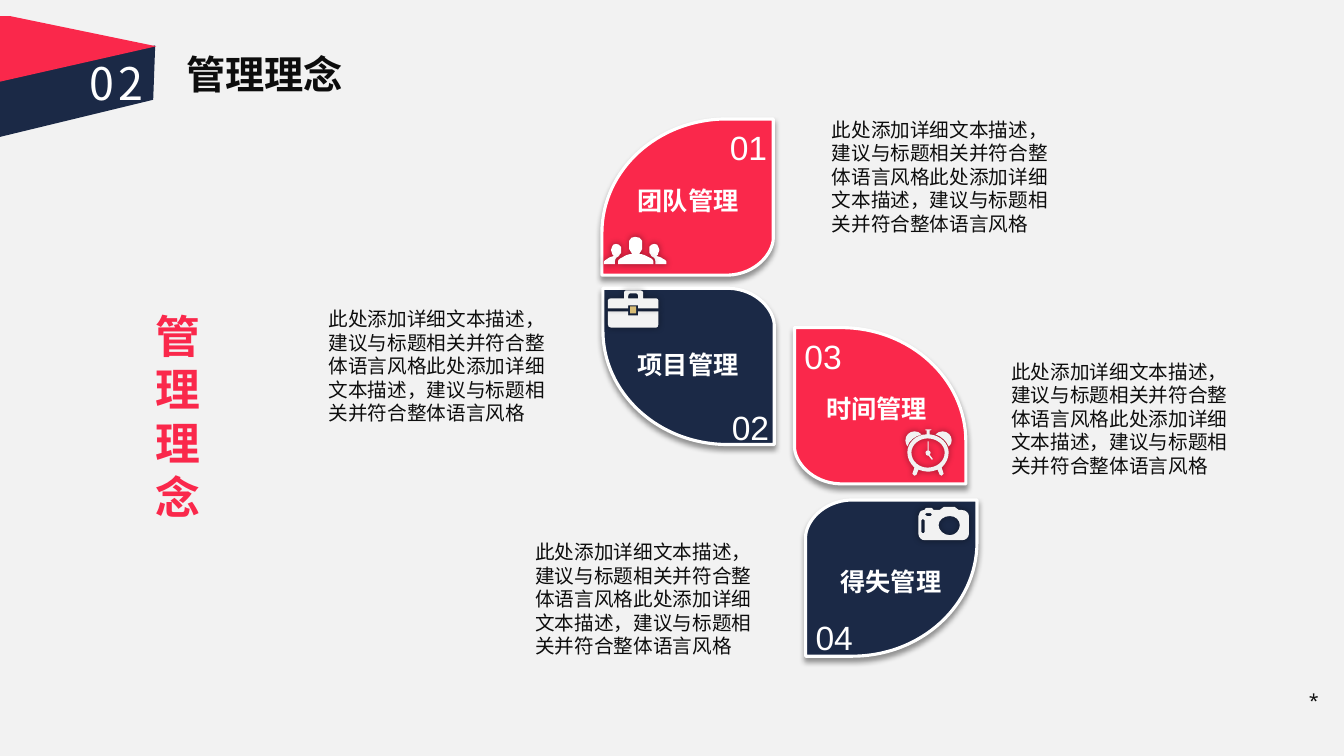
"""Build the management philosophy slide with four petals and their notes."""
from dataclasses import dataclass

from lxml import etree
from pptx import Presentation
from pptx import util as u
from pptx.dml.color import RGBColor
from pptx.enum import shapes, text
from pptx.oxml import ns

RED = RGBColor(0xFA, 0x28, 0x4B)
NAVY = RGBColor(0x1B, 0x29, 0x46)
GOLD = RGBColor(0xD8, 0xBC, 0x75)
WHITE = RGBColor(0xFF, 0xFF, 0xFF)
PALE = RGBColor(0xF2, 0xF2, 0xF2)
INK = RGBColor(0x0D, 0x0D, 0x0D)
CJK, LATIN, MONO = "Noto Sans CJK SC", "Arial", "Noto Sans Mono"
BLURB = "此处添加详细文本描述，建议与标题相关并符合整体语言风格" * 2

PETAL = """M 49 155 C 48 155 46 155 45 155 C 17 154 0 133 0 118 L 0 0 L 46 0
    C 115 0 170 51 170 113 L 170 155 C 170 155 159 155 142 155 C 114 155 72 155 49 155"""
PERSON = """M 17 18 C 17 18 17 16 14 15 C 13 14 11 13 7 12 C 8 12 9 10 9 9 C 10 8 10 7 10 6
    C 10 5 10 4 9 3 C 9 1 7 0 5 0 C 3 0 1 1 0 3 L 0 9 C 1 10 2 11 2 12 C 6 14 6 16 6 17
    L 6 20 L 17 20"""
LEADER = """M 30 20 C 28 19 25 17 21 17 C 22 15 23 14 24 12 C 24 10 24 9 24 8 C 24 7 24 5 24 4
    C 23 1 20 0 17 0 C 14 0 12 1 11 4 C 11 5 11 7 11 8 C 11 9 11 10 11 12 C 12 14 13 15 14 17
    C 10 17 6 19 5 20 C 0 22 0 24 0 24 L 0 27 L 35 27 L 35 24 C 35 24 35 22 30 20"""
CASE_BASE = """M 30 3 L 30 4 L 20 4 L 20 0 L 0 0 L 0 13 C 0 15 1 16 3 16 L 48 16
    C 49 16 50 15 50 13 L 50 0 L 30 0"""
CASE_LID = """M 20 16 L 20 15 L 30 15 L 30 18 L 50 18 L 50 10 C 50 9 49 8 48 8 L 35 8 L 35 2
    C 35 1 33 0 32 0 L 18 0 C 17 0 16 1 16 2 L 16 8 L 3 8 C 1 8 0 9 0 10 L 0 18 L 20 18
    M 20 6 C 20 4 21 3 22 3 L 28 3 C 29 3 30 4 30 6 L 30 8 L 20 8"""
CLOCK = """M 16 5 C 14 3 12 2 9 2 C 4 2 0 6 0 11 C 0 13 1 15 2 17 C 4 11 9 7 16 5
    M 37 2 C 34 2 32 3 30 5 C 36 7 41 12 43 17 C 45 16 46 13 46 11 C 46 6 42 2 37 2
    M 43 23 C 43 14 35 6 24 5 L 24 1 L 25 1 C 25 1 26 1 26 0 L 20 0 L 20 1 L 21 1 L 21 5
    C 11 5 2 13 2 23 C 2 29 5 34 9 38 L 7 44 L 9 46 L 11 45 L 13 40 C 16 41 19 42 22 42
    C 26 42 29 41 32 40 L 34 45 L 36 46 L 38 44 L 36 38 C 40 34 43 29 43 23
    M 22 38 C 14 38 6 32 6 23 C 6 15 14 9 22 9 C 31 9 39 15 39 23 C 39 32 31 38 22 38
    M 24 25 C 25 25 25 24 25 23 C 25 22 24 21 23 21 L 23 12 L 22 12 L 22 21
    C 21 21 20 22 20 23 C 20 25 21 26 22 26 L 23 26 L 26 30 L 27 30 L 27 29"""
CAMERA = """M 43 3 L 40 3 L 36 0 L 25 0 L 21 3 L 15 3 C 14 2 14 1 13 1 L 8 1 C 7 1 6 2 6 3
    C 2 3 0 6 0 9 L 0 27 C 0 30 3 33 6 33 L 43 33 C 47 33 50 30 50 27 L 50 9 C 50 6 47 3 43 3
    M 6 25 C 6 26 5 26 4 26 C 4 26 3 26 3 25 L 3 13 C 3 13 4 12 4 12 C 5 12 6 13 6 13
    M 13 8 C 13 8 13 9 12 9 L 9 9 C 8 9 7 8 7 8 L 7 7 C 7 6 8 6 9 6 L 12 6 C 13 6 13 6 13 7
    M 31 28 C 25 28 20 23 20 18 C 20 13 25 9 31 9 C 37 9 41 13 41 18 C 41 23 37 28 31 28"""
PAGE_TAB = """M 21 0 L 69 0 L 69 44 L 21 44 L 17 43 C 8 41 0 32 0 22
    C 0 11 8 2 17 0"""
RIBBONS = ((NAVY, "M 154 45 L 152 99 L -42 146 L -15 84"),
           (RED, "M 10 16 L 155 46 L -4 82 L -29 16"))


@dataclass
class Part:
    outline: str
    x: float
    y: float
    fill: RGBColor = PALE
    flip_x: bool = False


@dataclass
class Petal:
    number: str
    title: str
    fill: RGBColor
    x: float
    y: float
    flip_x: bool
    flip_y: bool
    number_at: tuple[float, float]
    title_at: tuple[float, float]
    blurb_at: tuple[float, float]
    icon: tuple[Part, ...]


PETALS = (
    Petal("03", "时间管理", RED, 7.88, 3.25, False, False, (7.88, 3.28), (7.85, 3.85),
          (10.03, 3.56), (Part(CLOCK, 8.98, 4.26),)),
    Petal("04", "得失管理", NAVY, 7.99, 4.96, False, True, (7.99, 6.07), (7.99, 5.57),
          (5.31, 5.35), (Part(CAMERA, 9.11, 5.03),)),
    Petal("02", "项目管理", NAVY, 5.98, 2.86, True, True, (7.16, 3.99), (5.98, 3.42),
          (3.26, 3.04), (Part(CASE_BASE, 6.03, 3.09), Part(CASE_LID, 6.03, 2.88))),
    Petal("01", "团队管理", RED, 5.97, 1.18, True, False, (7.14, 1.21), (5.98, 1.79),
          (8.25, 1.16), (Part(PERSON, 6.44, 2.42, WHITE),
                         Part(PERSON, 5.99, 2.42, WHITE, flip_x=True),
                         Part(LEADER, 6.13, 2.35, WHITE))),
)


def style(sp, fill: RGBColor, border: float = 0, blur: float = 0, drop: float = 0,
          alpha: int = 100) -> None:
    """Set a solid fill, a white border in points and a soft shadow."""
    sp.fill.solid()
    sp.fill.fore_color.rgb = fill
    if alpha < 100:
        color = sp._element.spPr.find(ns.qn("a:solidFill"))[0]
        etree.SubElement(color, ns.qn("a:alpha"), val=str(alpha * 1000))
    if border:
        sp.line.color.rgb = WHITE
        sp.line.width = u.Pt(border)
    else:
        sp.line.fill.background()
    sp.shadow.inherit = False
    if blur:
        effects = sp._element.spPr.find(ns.qn("a:effectLst"))
        shadow = etree.SubElement(effects, ns.qn("a:outerShdw"), blurRad=str(u.Pt(blur)),
                                  dist=str(u.Pt(drop)), dir="5400000", rotWithShape="0")
        color = etree.SubElement(shadow, ns.qn("a:srgbClr"), val="000000")
        etree.SubElement(color, ns.qn("a:alpha"), val="40000")


def bend(sp, commands: list[str]) -> None:
    """Merge each three line points that belong to a C command into one curve."""
    lines = iter(list(sp._element.spPr.iter(ns.qn("a:lnTo"))))
    for command in commands:
        first = next(lines)
        if command == "C":
            first.tag = ns.qn("a:cubicBezTo")
            for extra in (next(lines), next(lines)):
                first.append(extra[0])
                extra.getparent().remove(extra)


def draw(s, outline: str, x: float, y: float, fill: RGBColor, flip_x: bool = False,
         flip_y: bool = False, **look: float) -> None:
    """Draw M, L and C commands given in hundredths of an inch from x, y."""
    loops = []
    for chunk in outline.split("M")[1:]:
        values = [int(v) for v in chunk.split() if v not in "LC"]
        loops.append(list(zip(values[0::2], values[1::2])))
    width = max(px for loop in loops for px, _ in loop)
    height = max(py for loop in loops for _, py in loop)
    loops = [[(u.Inches(x + (width - px if flip_x else px) / 100),
               u.Inches(y + (height - py if flip_y else py) / 100)) for px, py in loop]
             for loop in loops]
    builder = s.shapes.build_freeform(*loops[0][0], scale=1.0)
    for i, loop in enumerate(loops):
        if i:
            builder.move_to(*loop[0])
        builder.add_line_segments(loop[1:], close=False)
        builder.add_line_segments([], close=True)
    sp = builder.convert_to_shape()
    commands = []
    for chunk in outline.split("M")[1:]:
        commands += [token for token in chunk.split() if token in "LC"]
    bend(sp, commands)
    style(sp, fill, **look)


def write(s, words: str, x: float, y: float, w: float, h: float, *, size: float,
          color: RGBColor = INK, font: str = CJK, bold: bool = False, centred: bool = False,
          middle: bool = False, wrap: bool = True, inset: tuple[float, float] = (0.1, 0.05),
          spacing: int = 0) -> None:
    """Add a text box with one formatted run."""
    tf = s.shapes.add_textbox(*map(u.Inches, (x, y, w, h))).text_frame
    tf.word_wrap = wrap
    tf.margin_left = tf.margin_right = u.Inches(inset[0])
    tf.margin_top = tf.margin_bottom = u.Inches(inset[1])
    tf.vertical_anchor = text.MSO_ANCHOR.MIDDLE if middle else text.MSO_ANCHOR.TOP
    p = tf.paragraphs[0]
    p.alignment = text.PP_ALIGN.CENTER if centred else text.PP_ALIGN.LEFT
    r = p.add_run()
    r.text = words
    r.font.size, r.font.bold, r.font.name = u.Pt(size), bold, font
    r.font.color.rgb = color
    props = r._r.get_or_add_rPr()
    etree.SubElement(props, ns.qn("a:ea"), typeface=font)
    if spacing:
        props.set("spc", str(spacing * 100))


def main() -> None:
    """Compose and save the slide."""
    prs = Presentation()
    prs.slide_width, prs.slide_height = u.Inches(13.33), u.Inches(7.5)
    s = prs.slides.add_slide(prs.slide_layouts[6])
    s.background.fill.solid()
    s.background.fill.fore_color.rgb = PALE
    write(s, "管理理念", 1.15, 0.45, 2.95, 0.57, size=28, bold=True, centred=True)
    draw(s, PAGE_TAB, 12.75, 6.74, PALE, alpha=30)
    write(s, "* ", 12.84, 6.79, 0.5, 0.31, size=14, font=MONO, centred=True, inset=(0.07, 0.04))
    for petal in PETALS:
        draw(s, PETAL, petal.x, petal.y, petal.fill, petal.flip_x, petal.flip_y,
             border=2.25, blur=4, drop=3)
        for part in petal.icon:
            draw(s, part.outline, part.x, part.y, part.fill, part.flip_x, blur=5)
        write(s, petal.number, *petal.number_at, 0.58, 0.5, size=24, color=WHITE, font=LATIN,
              wrap=False)
        write(s, petal.title, *petal.title_at, 1.69, 0.4, size=18, color=WHITE, bold=True,
              centred=True)
        write(s, BLURB, *petal.blurb_at, 2.25, 1.18, size=14, middle=True, inset=(0, 0))
    clasp = s.shapes.add_shape(shapes.MSO_SHAPE.RECTANGLE,
                               *map(u.Inches, (6.25, 3.04, 0.06, 0.07)))
    style(clasp, GOLD)
    write(s, "管理理念", 1.44, 3.01, 0.7, 2.25, size=32, color=RED, bold=True)
    for color, outline in RIBBONS:
        draw(s, outline, 0, 0, color)
    write(s, "02", 0.79, 0.5, 1.25, 0.64, size=32, color=WHITE, spacing=3)
    prs.save("out.pptx")


if __name__ == "__main__":
    main()
